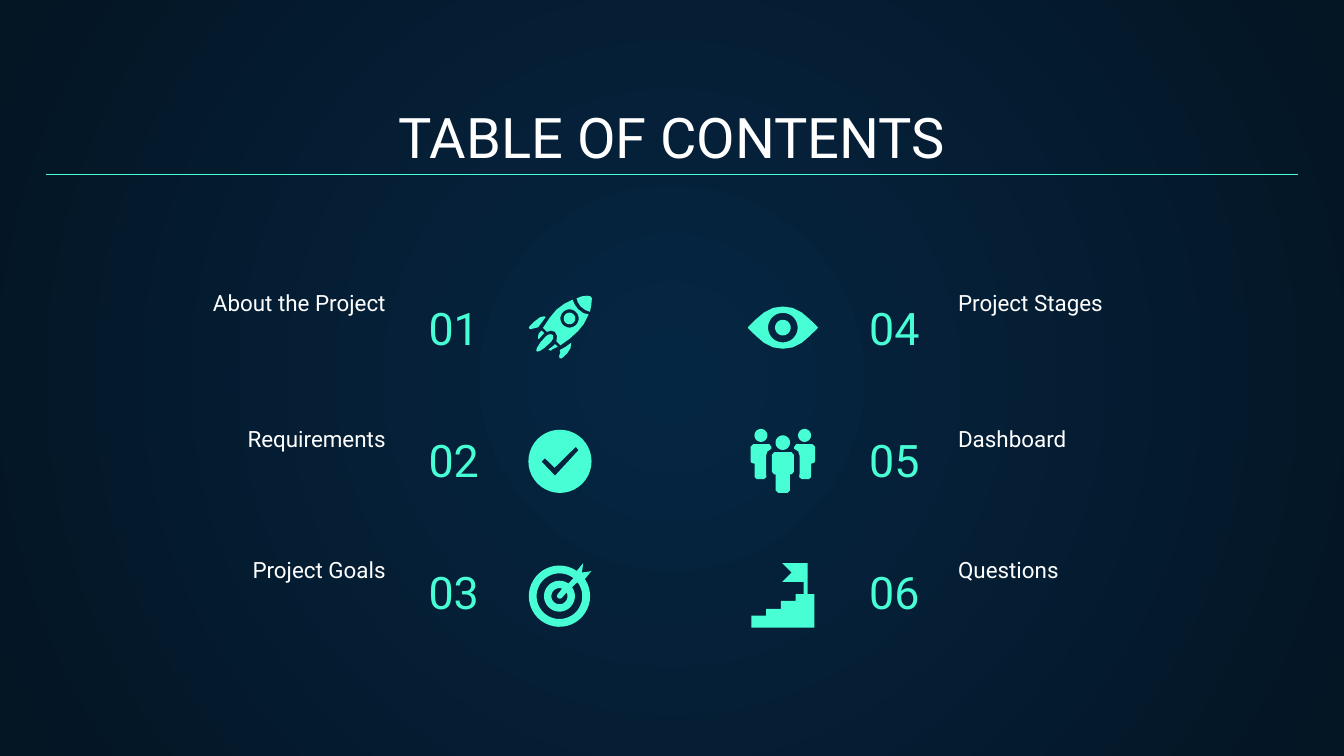
from math import cos, radians, sin

from pptx import Presentation
from pptx.dml.color import RGBColor
from pptx.enum.shapes import MSO_CONNECTOR
from pptx.enum.text import MSO_ANCHOR, PP_ALIGN
from pptx.oxml import parse_xml
from pptx.oxml.ns import nsdecls, qn
from pptx.util import Pt

NAVY = RGBColor(0x05, 0x26, 0x43)
NIGHT = RGBColor(0x04, 0x15, 0x23)
MINT = RGBColor(0x48, 0xFF, 0xD5)
WHITE = RGBColor(0xFF, 0xFF, 0xFF)
LEFT, MID, RIGHT = PP_ALIGN.LEFT, PP_ALIGN.CENTER, PP_ALIGN.RIGHT
LOW = MSO_ANCHOR.BOTTOM
LINE = MSO_CONNECTOR.STRAIGHT
FINE = 100
UNIT = Pt(0.72) / FINE


def add_text(text, x, y, w, h, size, color, align):
    box = slide.shapes.add_textbox(Pt(x), Pt(y), Pt(w), Pt(h))
    frame = box.text_frame
    frame.word_wrap = True
    frame.vertical_anchor = LOW
    frame.margin_left = frame.margin_right = Pt(7.2)
    frame.margin_top = frame.margin_bottom = Pt(7.2)
    para = frame.paragraphs[0]
    para.text = text
    para.alignment = align
    para.font.name = "Roboto"
    para.font.size = Pt(size)
    para.font.color.rgb = color


def arc(x, y, r, start=0, end=360):
    turns = [radians(start + (end - start) * i / 40) for i in range(41)]
    return [(x + r * cos(t), y + r * sin(t)) for t in turns]


deck = Presentation()
deck.slide_width, deck.slide_height = Pt(720), Pt(405)
slide = deck.slides.add_slide(deck.slide_layouts[6])

fill = slide.background.fill
fill.gradient()
for stop, color in zip(fill.gradient_stops, (NAVY, NIGHT)):
    stop.color.rgb = color
grad = slide.element.find(".//" + qn("a:gradFill"))
grad.remove(grad.find(qn("a:lin")))
grad.append(parse_xml(
    f'<a:path {nsdecls("a")} path="circle">'
    '<a:fillToRect l="50000" t="50000" r="50000" b="50000"/></a:path>'))

add_text("TABLE OF CONTENTS", 24.5, 50.4, 671, 47.5, 30, WHITE, MID)

sides = [
    (1, 222.5, LEFT, 50.4, RIGHT,
     ("About the Project", "Requirements", "Project Goals")),
    (4, 406.8, RIGHT, 506.2, LEFT,
     ("Project Stages", "Dashboard", "Questions")),
]
for first, num_x, num_side, name_x, name_side, names in sides:
    for row, (name, name_y) in enumerate(zip(names, (161.3, 234, 304.6))):
        add_text(f"{first + row:02}", num_x, 149.8 + 70.6 * row,
                 92.9, 47.5, 24, MINT, num_side)
        add_text(name, name_x, name_y, 163.4, 15.1, 12, WHITE, name_side)

target = [
    [(434, 419), (429, 425)] + arc(416.3, 443.6, 22.8, -56, -394)
    + [(440, 425), (433, 426)],
    arc(416.3, 443.6, 17, -38, 308) + arc(416.3, 443.6, 11.5, -55, -395),
    arc(416.3, 443.6, 6, -28, 290)
    + [(415, 442), (414.3, 443.5), (415, 445), (416.5, 445.5), (418, 445)],
]
check = [
    arc(416.7, 343.3, 23.5),
    [(428.5, 332.5), (430.5, 335), (413, 354), (403, 343.5),
     (405.5, 341), (412.7, 348)],
]

fins = [
    [(403, 246), (401, 248), (400.4, 250), (400.4, 252), (401, 252.3),
     (403, 250), (405, 248)],
    [(413, 256), (411, 258), (408, 260), (409, 260.5), (410, 261),
     (411, 260), (415, 258)],
    [(410, 248.7), (408, 249), (406, 250.5), (402, 255), (399.5, 259),
     (399, 261), (400, 261.7), (402, 261), (405, 259), (410, 254.5),
     (411.6, 252), (411.5, 249.5)],
    [(405, 235.4), (402, 236), (398, 239), (394, 243), (393.5, 244),
     (394.5, 245), (399, 244), (400.5, 243.5), (406, 236)],
    [(425, 255), (421, 258), (416.5, 260.5), (417, 262), (416, 265),
     (416.5, 266.7), (418, 266.7), (422, 263), (424.5, 259)],
]
nose = [(437, 220), (433, 220.5), (429, 222), (430, 225), (432, 228),
        (435.5, 230.7), (439, 232), (440, 227), (440.4, 222), (439.5, 220.6)]
hull = [(426, 223), (420, 226), (414, 230.5), (409, 236.5), (404, 244),
        (407, 247), (410, 246), (413, 247), (414.5, 250), (414, 254),
        (417, 257), (424, 252), (430, 246.5), (434.5, 241), (438, 234),
        (434, 233), (430, 230), (427.5, 226.5)]
rocket = [[fin] for fin in fins] + [
    [arc(423.8, 237, 4.3)], [nose], [hull, arc(423.8, 237, 6.8)]]

arm = [(24, 331), (26, 330.5), (10.5, 330.5), (8.5, 332.5), (8.5, 343),
       (9.2, 344.5), (11.5, 345), (11.5, 355), (13, 356.5), (18.5, 356.5),
       (20.3, 355), (20, 352), (20, 339), (21, 336), (24, 334)]
arm = [(24, 332.5), (22.5, 330.5)] + arm[2:]
body = [(576, 336.5), (574.3, 338.5), (574.3, 351), (576, 353),
        (577.2, 353), (577.2, 365), (579, 366.7), (586, 366.7),
        (587.8, 365), (587.8, 353), (589, 353), (590.7, 351),
        (590.7, 338.5), (589, 336.5)]
team = [
    [arc(566.2, 324, 4.8)],
    [[(550 + x, y) for x, y in arm]],
    [arc(598.7, 324, 4.8)],
    [[(615 - x, y) for x, y in arm]],
    [body],
    [arc(582.5, 329.4, 5.4)],
]
stairs = [(582, 419), (589, 426), (582, 433), (598, 433), (598, 442),
          (592, 442), (592, 447), (581, 447), (581, 453), (570, 453),
          (570, 458), (559, 458), (559, 467), (606, 467), (606, 442),
          (601, 442), (601, 419)]
lid = [(26, 0), (25.5, 0.8), (20, 6.2), (14, 11.3), (7.2, 14.7), (0, 15.7)]
lid += [(-x, y) for x, y in lid[-2::-1]]
eye = [
    [(582.5 + x, 243.8 - y) for x, y in lid]
    + [(582.5 - x, 243.8 + y) for x, y in lid],
    arc(582.5, 243.8, 11),
    arc(582.5, 243.8, 5.8),
]

for part in [target, *rocket, check, *team, [stairs], eye]:
    loops = [[(x * FINE, y * FINE) for x, y in loop] for loop in part]
    pen = slide.shapes.build_freeform(*loops[0][0], scale=UNIT)
    pen.add_line_segments(loops[0][1:])
    for loop in loops[1:]:
        pen.move_to(*loop[0])
        pen.add_line_segments(loop[1:])
    icon = pen.convert_to_shape()
    icon.shadow.inherit = False
    icon.fill.solid()
    icon.fill.fore_color.rgb = MINT
    icon.line.fill.background()

rule = slide.shapes.add_connector(LINE, Pt(24.5), Pt(93.6), Pt(695.5), Pt(93.6))
rule.line.color.rgb = MINT
rule.line.width = Pt(0.75)
rule.element.spPr.append(parse_xml(f'<a:effectLst {nsdecls("a")}/>'))

deck.save("out.pptx")
